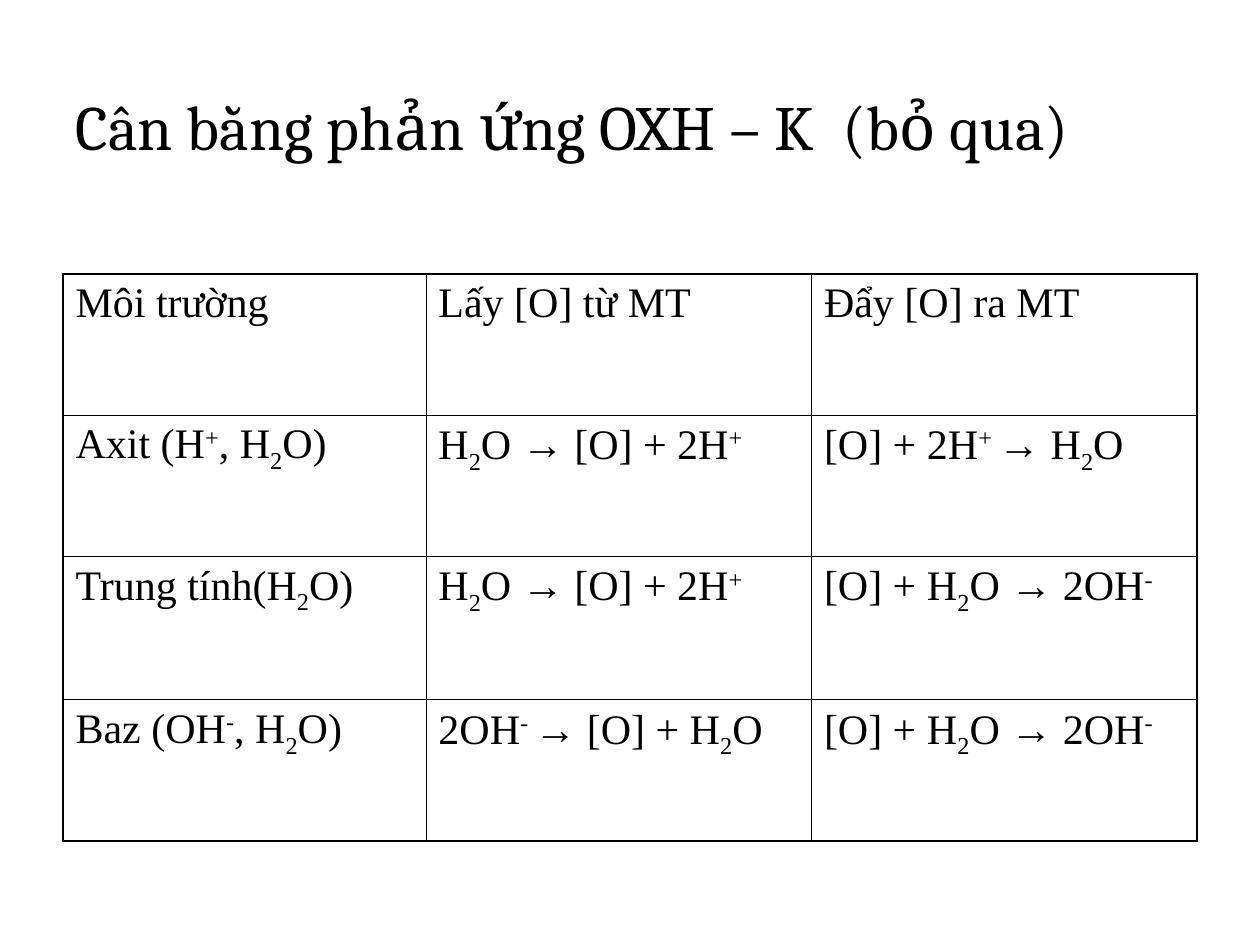
"""Build a slide with a table of redox balancing rules by medium."""
from dataclasses import dataclass
from itertools import groupby

from lxml.etree import SubElement as Sub
from pptx import Presentation
from pptx.dml.color import RGBColor as Rgb
from pptx.enum.text import MSO_ANCHOR as Anchor
from pptx.oxml.ns import qn
from pptx.util import Inches, Pt

WIDE, HIGH = Inches(10), Inches(7.5)
HUES = {"ink": "000000", "page": "FFFFFF"}
FACES = {"title": "Cambria", "body": "Times New Roman", "arrow": "Arial"}
MARKS = {"⁺": ("+", 30000), "⁻": ("-", 30000), "~": (" ", 30000), "₂": ("2", -25000)}
THIN, THICK = Pt(0.45), Pt(1.08)


@dataclass(frozen=True)
class Box:
    """Hold a place as shares of the slide's size."""
    left: float
    top: float
    width: float
    height: float

    def spots(self) -> tuple[int, int, int, int]:
        """Return the place in slide units."""
        return (int(self.left * WIDE), int(self.top * HIGH),
                int(self.width * WIDE), int(self.height * HIGH))


@dataclass(frozen=True)
class Grid:
    """Hold the place, column and row shares, and texts of a table."""
    box: Box
    cols: tuple[float, ...]
    rows: tuple[float, ...]
    texts: tuple[tuple[str, ...], ...]


HEAD = Box(0.05, 0.056, 0.9, 0.123)
RULES = Grid(
    Box(0.05, 0.29, 0.9, 0.6),
    (0.32, 0.34, 0.34),
    (0.249, 0.249, 0.253, 0.249),
    (
        ("Môi trường", "Lấy [O] từ MT", "Đẩy [O] ra MT"),
        ("Axit (H⁺, H₂O)", "H₂O → [O] + 2H⁺", "[O] + 2H⁺~→ H₂O"),
        ("Trung tính(H₂O)", "H₂O → [O] + 2H⁺", "[O] + H₂O → 2OH⁻"),
        ("Baz (OH⁻, H₂O)", "2OH⁻~→ [O] + H₂O", "[O] + H₂O → 2OH⁻"),
    ),
)


def style(run, face: str, size: float) -> None:
    """Set the font of a run."""
    font = run.font
    font.name, font.size = FACES[face], Pt(size)
    font.color.rgb = Rgb.from_string(HUES["ink"])


def look(char: str) -> tuple[int, str]:
    """Return the baseline shift and face of a character."""
    return MARKS.get(char, ("", 0))[1], "arrow" if char == "→" else "body"


def write(para, text: str) -> None:
    """Write a formula with raised and lowered marks."""
    para.space_before = Pt(6)
    for (shift, face), chars in groupby(text, look):
        run = para.add_run()
        run.text = "".join(MARKS.get(c, (c, 0))[0] for c in chars)
        style(run, face, 24)
        if shift:
            run.font._element.set("baseline", str(shift))


def edge(cell, side: str, width: int) -> None:
    """Draw one border of a cell."""
    line = Sub(cell._tc.get_or_add_tcPr(), qn(f"a:ln{side}"), w=str(int(width)))
    Sub(Sub(line, qn("a:solidFill")), qn("a:srgbClr"), val=HUES["ink"])


def title(slide, box: Box, text: str) -> None:
    """Add the heading."""
    frame = slide.shapes.add_textbox(*box.spots()).text_frame
    frame.word_wrap = True
    frame.vertical_anchor = Anchor.BOTTOM
    frame.text = text
    style(frame.paragraphs[0].runs[0], "title", 36)


def chart(slide, grid: Grid) -> None:
    """Add the ruled table with a thicker outer frame."""
    spots = grid.box.spots()
    tall, broad = len(grid.rows), len(grid.cols)
    table = slide.shapes.add_table(tall, broad, *spots).table
    table.first_row = table.horz_banding = False
    for col, share in zip(table.columns, grid.cols):
        col.width = int(spots[2] * share)
    for row, share in zip(table.rows, grid.rows):
        row.height = int(spots[3] * share)
    for r, texts in enumerate(grid.texts):
        for c, text in enumerate(texts):
            cell = table.cell(r, c)
            write(cell.text_frame.paragraphs[0], text)
            outer = {"L": c == 0, "R": c == broad - 1, "T": r == 0, "B": r == tall - 1}
            for side, rim in outer.items():
                edge(cell, side, THICK if rim else THIN)
            cell.fill.background()


def main() -> None:
    """Build and save the deck."""
    deck = Presentation()
    deck.slide_width, deck.slide_height = WIDE, HIGH
    slide = deck.slides.add_slide(deck.slide_layouts[6])
    fill = slide.background.fill
    fill.solid()
    fill.fore_color.rgb = Rgb.from_string(HUES["page"])
    title(slide, HEAD, "Cân bằng phản ứng OXH – K  (bỏ qua)")
    chart(slide, RULES)
    deck.save("out.pptx")


if __name__ == "__main__":
    main()
